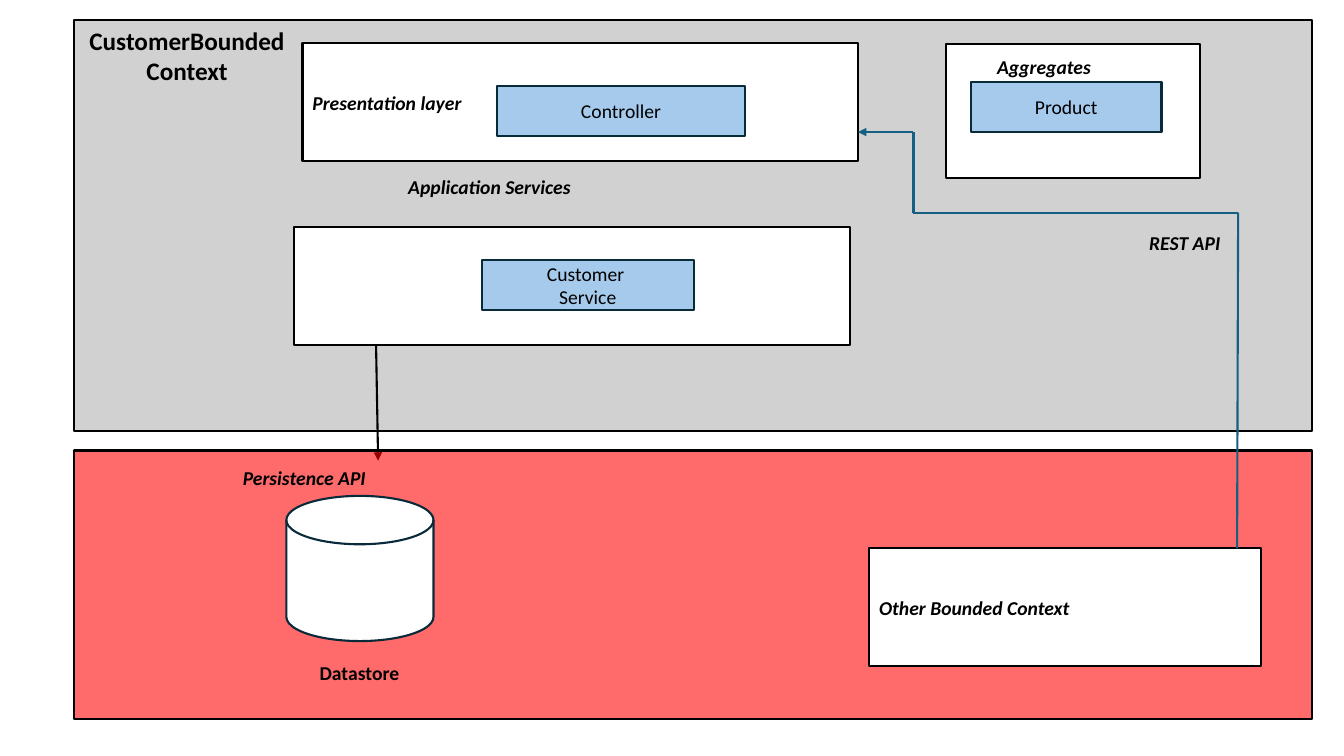
from itertools import pairwise

from lxml.etree import SubElement
from pptx import Presentation
from pptx.dml.color import RGBColor
from pptx.enum.shapes import MSO_CONNECTOR, MSO_SHAPE
from pptx.enum.text import MSO_ANCHOR, MSO_AUTO_SIZE, PP_ALIGN
from pptx.oxml.ns import qn
from pptx.util import Inches, Pt

BLACK = RGBColor(0x00, 0x00, 0x00)
WHITE = RGBColor(0xFF, 0xFF, 0xFF)
GRAY = RGBColor(0xD1, 0xD1, 0xD1)
RED = RGBColor(0xFF, 0x00, 0x00)
SKY = RGBColor(0xA6, 0xCA, 0xEC)
NAVY = RGBColor(0x09, 0x2A, 0x39)
TEAL = RGBColor(0x15, 0x60, 0x82)


class Diagram:
    """Draws the parts of an architecture diagram on one slide."""

    font = "Calibri"
    line_width = Pt(1.5)

    def __init__(self, page):
        self.page = page

    def add_text(self, frame, lines, align, size=14, bold=False, italic=False):
        frame.word_wrap = True
        for index, line in enumerate(lines):
            para = frame.add_paragraph() if index else frame.paragraphs[0]
            para.alignment = align
            span = para.add_run()
            span.text = line
            span.font.name = self.font
            span.font.size = Pt(size)
            span.font.bold = bold
            span.font.italic = italic
            span.font.color.rgb = BLACK

    def box(self, left, top, width, height, fill=WHITE, line=BLACK,
            kind=MSO_SHAPE.RECTANGLE, opacity=None):
        box = self.page.shapes.add_shape(
            kind, Inches(left), Inches(top), Inches(width), Inches(height))
        box.shadow.inherit = False
        box.fill.solid()
        box.fill.fore_color.rgb = fill
        box.line.color.rgb = line
        box.line.width = self.line_width
        if opacity is not None:
            color = box._element.spPr.find(qn("a:solidFill"))[0]
            SubElement(color, qn("a:alpha")).set("val", str(opacity * 1000))
        return box

    def layer(self, left, top, width, title=None):
        box = self.box(left, top, width, 1.17)
        if title:
            box.text_frame.vertical_anchor = MSO_ANCHOR.MIDDLE
            self.add_text(box.text_frame, [title], PP_ALIGN.LEFT, bold=True, italic=True)

    def component(self, left, top, width, *lines):
        box = self.box(left, top, width, 0.5, SKY, NAVY)
        box.text_frame.vertical_anchor = MSO_ANCHOR.MIDDLE
        self.add_text(box.text_frame, lines, PP_ALIGN.CENTER)

    def label(self, left, top, width, text, align=PP_ALIGN.LEFT, height=0.34,
              size=14, italic=True):
        box = self.page.shapes.add_textbox(
            Inches(left), Inches(top), Inches(width), Inches(height))
        box.text_frame.auto_size = MSO_AUTO_SIZE.SHAPE_TO_FIT_TEXT
        self.add_text(box.text_frame, [text], align, size, True, italic)

    def arrow(self, points, color):
        for start, end in pairwise(points):
            connector = self.page.shapes.add_connector(
                MSO_CONNECTOR.STRAIGHT, *map(Inches, start + end))
            connector.line.color.rgb = color
            connector.line.width = self.line_width
            SubElement(connector._element.spPr, qn("a:effectLst"))
        outline = connector._element.spPr.find(qn("a:ln"))
        SubElement(outline, qn("a:tailEnd")).set("type", "triangle")


def main():
    deck = Presentation()
    deck.slide_width = Inches(13.33)
    deck.slide_height = Inches(7.5)
    diagram = Diagram(deck.slides.add_slide(deck.slide_layouts[6]))

    diagram.box(0.73, 0.2, 12.28, 4.08, GRAY)
    diagram.layer(2.92, 2.25, 5.51)
    diagram.label(3.95, 1.69, 1.89, "Application Services")
    diagram.component(4.78, 2.58, 2.1, "Customer ", "Service")

    diagram.box(9.38, 0.44, 2.52, 1.33)
    diagram.label(9.41, 0.5, 1.89, "Aggregates", PP_ALIGN.CENTER)
    diagram.component(9.63, 0.81, 1.89, "Product")

    diagram.label(0.56, 0.2, 2.59, "CustomerBounded Context", PP_ALIGN.CENTER,
                  height=0.71, size=18, italic=False)
    diagram.arrow([(3.73, 3.43), (3.75, 4.57)], BLACK)

    diagram.box(0.73, 4.47, 12.28, 2.66, RED, opacity=58)
    diagram.label(2.31, 4.57, 1.67, "Persistence API")
    diagram.box(2.84, 4.92, 1.46, 1.44, WHITE, NAVY,
                MSO_SHAPE.FLOWCHART_MAGNETIC_DISK)
    diagram.label(2.94, 6.51, 1.25, "Datastore", PP_ALIGN.CENTER, italic=False)

    diagram.layer(3, 0.43, 5.51, "Presentation layer")
    diagram.component(4.93, 0.85, 2.46, "Controller")
    diagram.layer(8.62, 5.44, 3.89, "Other Bounded Context")

    diagram.arrow([(12.27, 5.44), (12.28, 2.11), (9.06, 2.11),
                   (9.06, 1.31), (8.51, 1.31)], TEAL)
    diagram.label(11.3, 2.24, 1.67, "REST API")

    deck.save("out.pptx")


if __name__ == "__main__":
    main()
